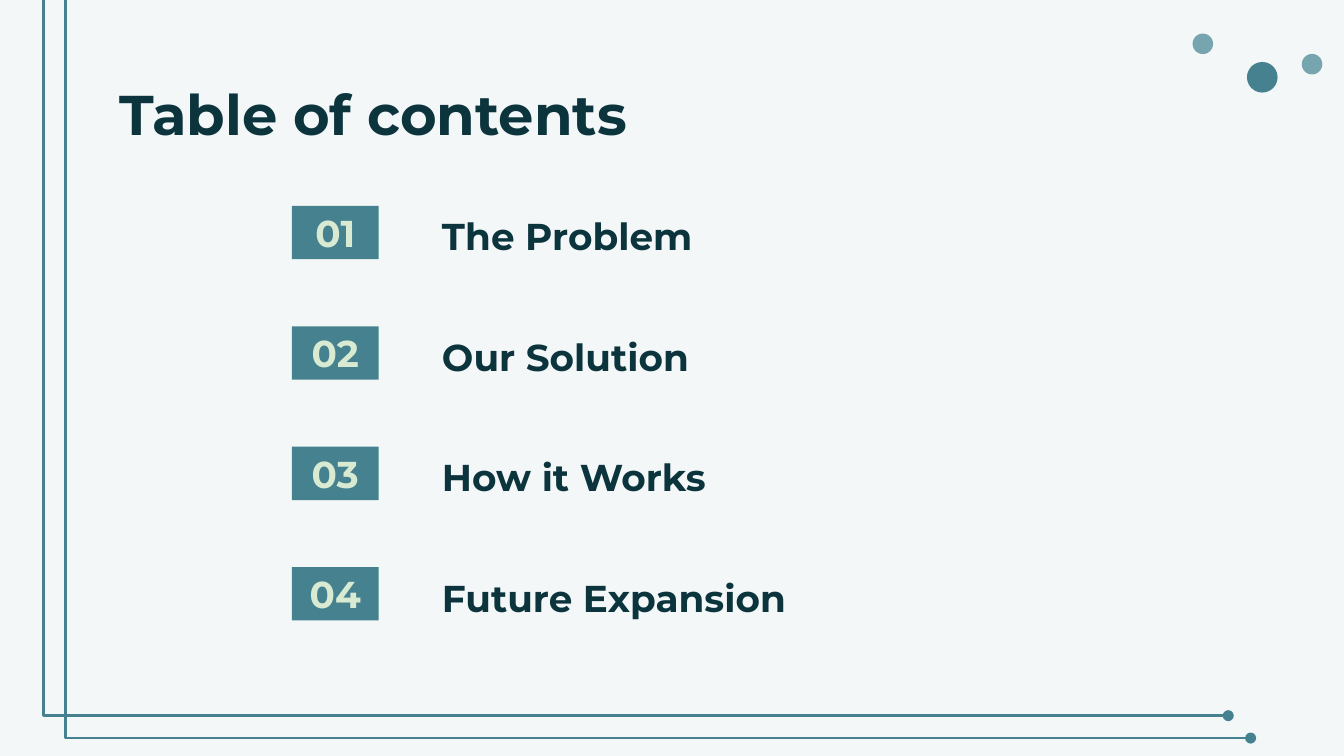
from lxml import etree
from pptx import Presentation
from pptx.dml.color import RGBColor
from pptx.enum.shapes import MSO_CONNECTOR, MSO_SHAPE
from pptx.enum.text import MSO_ANCHOR, PP_ALIGN
from pptx.oxml.ns import qn
from pptx.util import Pt

ELBOW = MSO_CONNECTOR.ELBOW
RECTANGLE, OVAL = MSO_SHAPE.RECTANGLE, MSO_SHAPE.OVAL
TOP, MIDDLE = MSO_ANCHOR.TOP, MSO_ANCHOR.MIDDLE
LEFT, CENTER = PP_ALIGN.LEFT, PP_ALIGN.CENTER

FONT = "Montserrat"
COLORS = {
    "background": "F3F7F8",
    "teal": "45818E",
    "light_teal": "76A5AF",
    "dark": "0C343D",
    "pale_green": "D9EAD3",
}
SECTIONS = ["The Problem", "Our Solution", "How it Works", "Future Expansion"]
FIRST_ROW_TOP, ROW_PITCH, ROW_HEIGHT = 110.3, 64.5, 28.6
DOTS = [  # left, top, diameter, color
    (668, 33.2, 16.4, "teal"),
    (638.9, 18, 11, "light_teal"),
    (697.4, 28.9, 11, "light_teal"),
]


def color(name):
    return RGBColor.from_string(COLORS[name])


def write_text(box, text, size=20, fill="dark", align=LEFT, anchor=MIDDLE, spacing=None):
    frame = box.text_frame
    frame.word_wrap = True
    frame.vertical_anchor = anchor
    frame.margin_left = frame.margin_right = Pt(7.2)
    frame.margin_top = frame.margin_bottom = Pt(7.2)
    para = frame.paragraphs[0]
    para.alignment = align
    para.line_spacing = spacing
    span = para.add_run()
    span.text = text
    span.font.name = FONT
    span.font.size = Pt(size)
    span.font.bold = True
    span.font.color.rgb = color(fill)


def add_text(page, left, top, width, height, text, **style):
    box = page.shapes.add_textbox(Pt(left), Pt(top), Pt(width), Pt(height))
    write_text(box, text, **style)


def add_filled(page, kind, left, top, width, height, fill):
    shape = page.shapes.add_shape(kind, Pt(left), Pt(top), Pt(width), Pt(height))
    shape.shadow.inherit = False
    shape.fill.solid()
    shape.fill.fore_color.rgb = color(fill)
    shape.line.fill.background()
    return shape


def add_corner_line(page, left, top, width, height):
    """Draw an elbow that runs down the left side and ends in a dot at bottom right."""
    line = page.shapes.add_connector(
        ELBOW, Pt(left), Pt(top), Pt(left + width), Pt(top + height))
    line.line.color.rgb = color("teal")
    line.line.width = Pt(1.5)
    properties = line._element.spPr
    etree.SubElement(properties.find(qn("a:ln")), qn("a:tailEnd"), type="oval")
    etree.SubElement(properties, qn("a:effectLst"))
    adjustments = properties.find(qn("a:prstGeom")).get_or_add_avLst()
    etree.SubElement(adjustments, qn("a:gd"), name="adj1", fmla="val -1000")


def add_section(page, index, title):
    top = FIRST_ROW_TOP + index * ROW_PITCH
    badge = add_filled(page, RECTANGLE, 156.4, top, 46.5, ROW_HEIGHT, "teal")
    write_text(badge, f"{index + 1:02d}", fill="pale_green", align=CENTER)
    add_text(page, 229.7, top, 334, ROW_HEIGHT, title, spacing=1.15)


def main():
    deck = Presentation()
    deck.slide_width, deck.slide_height = Pt(720), Pt(405)
    page = deck.slides.add_slide(deck.slide_layouts[6])
    page.background.fill.solid()
    page.background.fill.fore_color.rgb = color("background")

    for left, top, diameter, fill in DOTS:
        add_filled(page, OVAL, left, top, diameter, diameter, fill)
    for offset in (0, 12):
        add_corner_line(page, 29.5 + offset, -17.1 + offset, 628.5, 400.5)

    add_text(page, 56.7, 35.4, 607, 45.4, "Table of contents", size=30, anchor=TOP)
    for index, title in enumerate(SECTIONS):
        add_section(page, index, title)
    deck.save("out.pptx")


if __name__ == "__main__":
    main()
